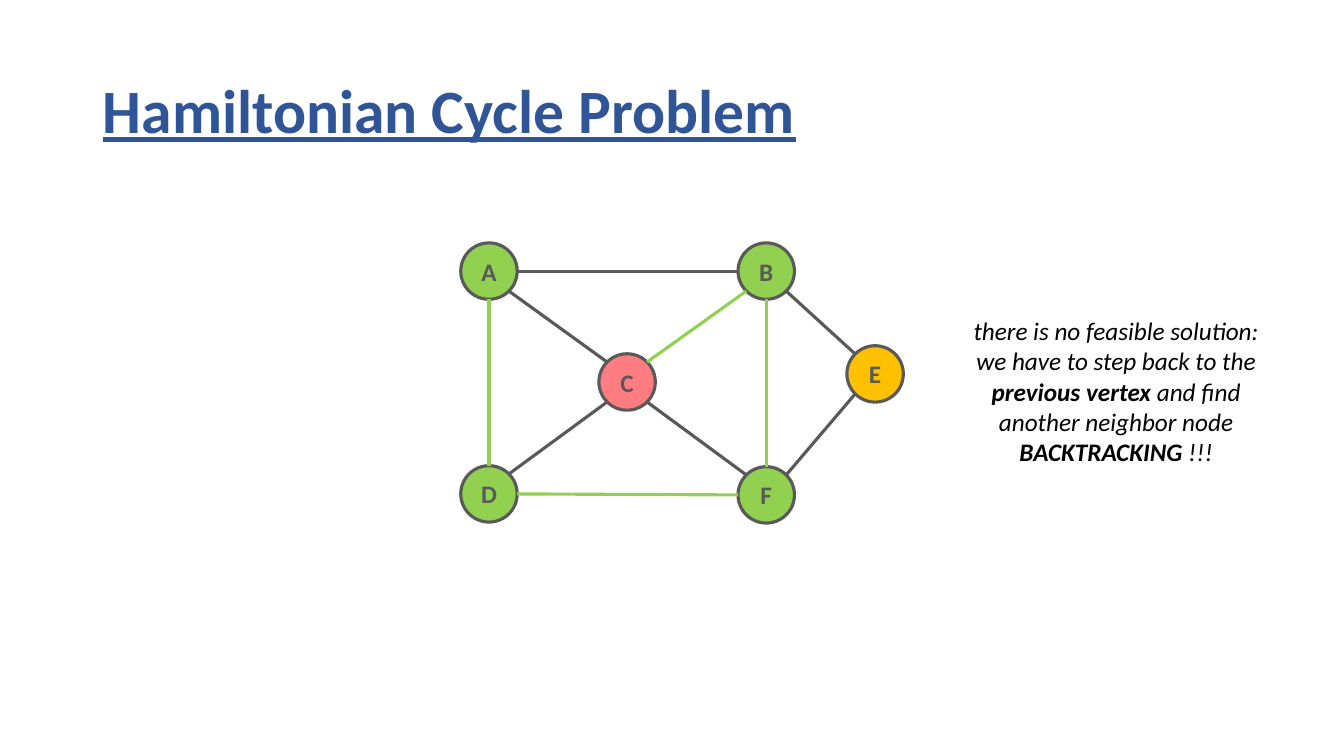
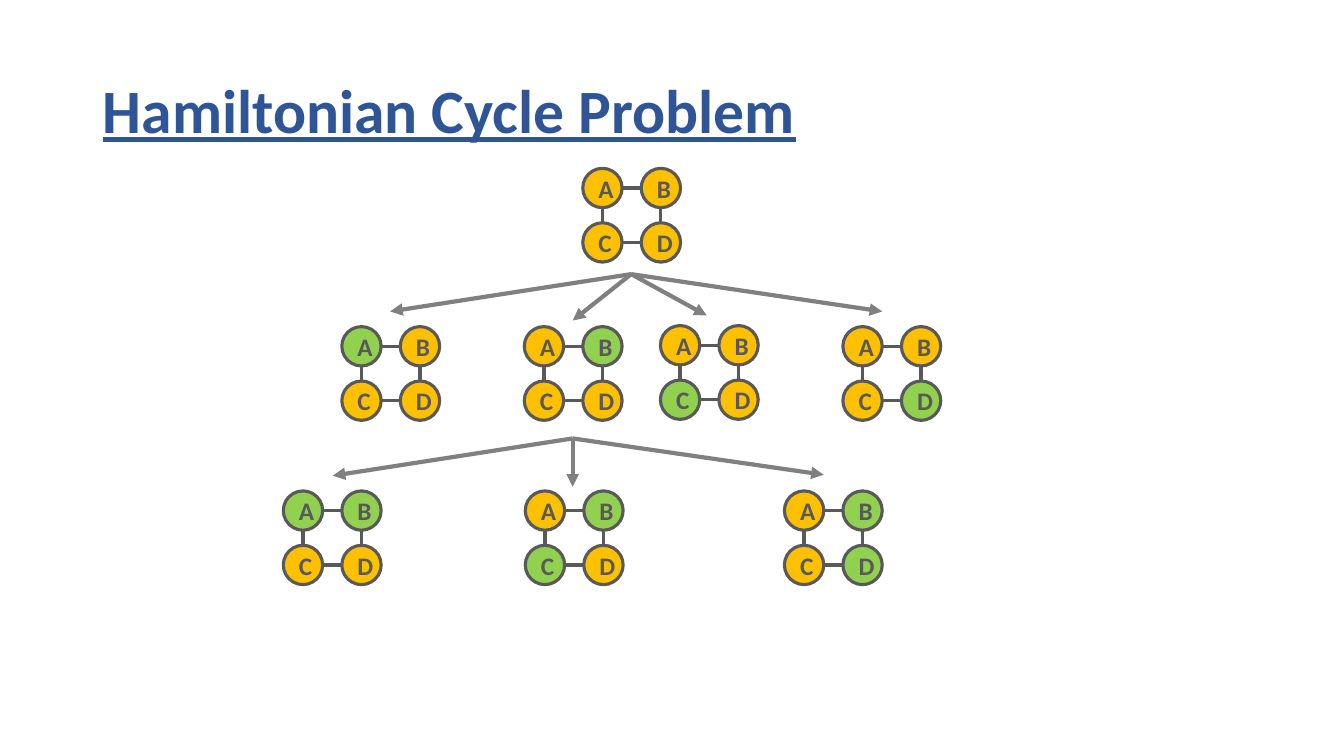
"""Build two slides on the Hamiltonian cycle problem."""
import math
from dataclasses import dataclass
from typing import Any, NamedTuple

from lxml import etree
from pptx import Presentation
from pptx import util as u
from pptx.dml.color import RGBColor
from pptx.enum import shapes, text
from pptx.oxml.ns import qn


@dataclass(frozen=True)
class Theme:
    """Colours, type sizes and line widths shared by the slides."""
    font: str = "Calibri"
    title_color: str = "2F5597"
    text_color: str = "000000"
    outline: str = "595959"
    arrow: str = "808080"
    chosen: str = "92D050"
    open: str = "FFC000"
    dead_end: str = "FF7C80"
    title_size: float = 44
    body_size: float = 18
    outline_width: float = 2.25
    arrow_width: float = 3


class Point(NamedTuple):
    """A place on the slide in inches."""
    x: float
    y: float


@dataclass(frozen=True)
class Node:
    """A labelled circle of a graph."""
    label: str
    center: Point
    fill: str
    diameter: float


@dataclass(frozen=True)
class Edge:
    """A line between two labelled nodes."""
    start: str
    end: str
    color: str


@dataclass(frozen=True)
class State:
    """A small four-node graph with its chosen vertices."""
    left: float
    top: float
    chosen: str


@dataclass(frozen=True)
class Branch:
    """Arrows that fan out from one point."""
    origin: Point
    tips: tuple[Point, ...]


THEME = Theme()
TITLE = "Hamiltonian Cycle Problem"
LARGE, SMALL = 0.56, 0.39
COLUMN_STEP, ROW_STEP = 0.58, 0.54

GRAPH_NODES = [
    Node("A", Point(4.85, 2.69), THEME.chosen, LARGE),
    Node("B", Point(7.6, 2.69), THEME.chosen, LARGE),
    Node("D", Point(4.85, 4.9), THEME.chosen, LARGE),
    Node("F", Point(7.6, 4.91), THEME.chosen, LARGE),
    Node("C", Point(6.22, 3.79), THEME.dead_end, LARGE),
    Node("E", Point(8.68, 3.71), THEME.open, LARGE),
]
GRAPH_EDGES = [Edge(*pair, THEME.chosen) for pair in ("AD", "FD", "FB", "CB")]
GRAPH_EDGES += [Edge(*pair, THEME.outline) for pair in ("AB", "AC", "CF", "DC", "EB", "EF")]
STATE_EDGES = [Edge(*pair, THEME.outline) for pair in ("AB", "AC", "DC", "DB")]

NOTE = [
    [("there is no feasible solution:", False)],
    [(" we have to step back to the ", False)],
    [("previous vertex ", True), ("and find", False)],
    [("another neighbor node", False)],
    [("BACKTRACKING", True), (" !!!", False)],
]

STATES = [
    State(5.78, 1.67, ""),
    State(3.39, 3.24, "A"),
    State(5.2, 3.24, "B"),
    State(6.55, 3.23, "C"),
    State(8.36, 3.24, "D"),
    State(2.81, 4.87, "AB"),
    State(5.21, 4.87, "BC"),
    State(7.78, 4.87, "BD"),
]
BRANCHES = [
    Branch(Point(6.26, 2.72),
           (Point(3.87, 3.09), Point(5.68, 3.18), Point(7.01, 3.13), Point(8.75, 3.09))),
    Branch(Point(5.68, 4.35), (Point(3.3, 4.72), Point(5.68, 4.83), Point(8.17, 4.71))),
]


def apply_format(target: Any, values: dict[str, Any]) -> None:
    """Set each named attribute on the target."""
    for name, value in values.items():
        setattr(target, name, value)


def add_run(paragraph: Any, words: str, size: float, color: str, **style: bool) -> None:
    """Append a formatted run to a paragraph."""
    run = paragraph.add_run()
    run.text = words
    apply_format(run.font, {"name": THEME.font, "size": u.Pt(size), **style})
    run.font.color.rgb = RGBColor.from_string(color)


def add_titled_slide(presentation: Any) -> Any:
    """Add a title-only slide carrying the shared title."""
    slide = presentation.slides.add_slide(presentation.slide_layouts[5])
    title = slide.shapes.title
    apply_format(title, {"left": u.Inches(0.92), "top": u.Inches(0.4),
                         "width": u.Inches(11.5), "height": u.Inches(1.45)})
    apply_format(title.text_frame, {"vertical_anchor": text.MSO_ANCHOR.MIDDLE,
                                    "auto_size": text.MSO_AUTO_SIZE.NONE})
    paragraph = title.text_frame.paragraphs[0]
    apply_format(paragraph, {"alignment": text.PP_ALIGN.LEFT, "line_spacing": 0.9})
    add_run(paragraph, TITLE, THEME.title_size, THEME.title_color, bold=True, underline=True)
    return slide


def draw_node(slide: Any, node: Node) -> None:
    """Draw one labelled circle."""
    radius = node.diameter / 2
    shape = slide.shapes.add_shape(
        shapes.MSO_SHAPE.OVAL, u.Inches(node.center.x - radius),
        u.Inches(node.center.y - radius), u.Inches(node.diameter), u.Inches(node.diameter))
    shape.shadow.inherit = False
    shape.fill.solid()
    shape.fill.fore_color.rgb = RGBColor.from_string(node.fill)
    shape.line.color.rgb = RGBColor.from_string(THEME.outline)
    shape.line.width = u.Pt(THEME.outline_width)
    paragraph = shape.text_frame.paragraphs[0]
    paragraph.alignment = text.PP_ALIGN.CENTER
    add_run(paragraph, node.label, THEME.body_size, THEME.outline, bold=True)


def draw_line(slide: Any, start: Point, end: Point, color: str, width: float) -> Any:
    """Draw a straight line without a shadow and return it."""
    connector = slide.shapes.add_connector(
        shapes.MSO_CONNECTOR.STRAIGHT, u.Inches(start.x), u.Inches(start.y),
        u.Inches(end.x), u.Inches(end.y))
    connector.line.color.rgb = RGBColor.from_string(color)
    connector.line.width = u.Pt(width)
    etree.SubElement(connector._element.spPr, qn("a:effectLst"))
    return connector


def rim_point(node: Node, toward: Node) -> Point:
    """Return the circle's nearest eighth-turn point facing another node."""
    eighth = math.pi / 4
    angle = math.atan2(toward.center.y - node.center.y, toward.center.x - node.center.x)
    angle = round(angle / eighth) * eighth
    radius = node.diameter / 2
    return Point(node.center.x + radius * math.cos(angle),
                 node.center.y + radius * math.sin(angle))


def draw_graph(slide: Any, nodes: list[Node], edges: list[Edge]) -> None:
    """Draw the nodes and the edges joining their rims."""
    by_label = {node.label: node for node in nodes}
    for node in nodes:
        draw_node(slide, node)
    for edge in edges:
        start, end = by_label[edge.start], by_label[edge.end]
        draw_line(slide, rim_point(start, end), rim_point(end, start),
                  edge.color, THEME.outline_width)


def draw_state(slide: Any, state: State) -> None:
    """Draw a two-by-two graph with its chosen vertices filled."""
    nodes = []
    for index, label in enumerate("ABCD"):
        row, column = divmod(index, 2)
        center = Point(state.left + SMALL / 2 + column * COLUMN_STEP,
                       state.top + SMALL / 2 + row * ROW_STEP)
        fill = THEME.chosen if label in state.chosen else THEME.open
        nodes.append(Node(label, center, fill, SMALL))
    draw_graph(slide, nodes, STATE_EDGES)


def draw_branch(slide: Any, branch: Branch) -> None:
    """Draw arrows from the origin to every tip."""
    for tip in branch.tips:
        arrow = draw_line(slide, branch.origin, tip, THEME.arrow, THEME.arrow_width)
        etree.SubElement(arrow.line._get_or_add_ln(), qn("a:tailEnd"), type="triangle")


def draw_note(slide: Any) -> None:
    """Write the centred backtracking note."""
    box = slide.shapes.add_textbox(u.Inches(9.51), u.Inches(3.08), u.Inches(3.12), u.Inches(1.62))
    apply_format(box.text_frame, {"word_wrap": False,
                                  "auto_size": text.MSO_AUTO_SIZE.SHAPE_TO_FIT_TEXT})
    for index, line in enumerate(NOTE):
        paragraph = box.text_frame.add_paragraph() if index else box.text_frame.paragraphs[0]
        paragraph.alignment = text.PP_ALIGN.CENTER
        for words, bold in line:
            add_run(paragraph, words, THEME.body_size, THEME.text_color, bold=bold, italic=True)


def build_dead_end_slide(presentation: Any) -> None:
    """Build the slide where the path has to step back."""
    slide = add_titled_slide(presentation)
    draw_graph(slide, GRAPH_NODES, GRAPH_EDGES)
    draw_note(slide)


def build_search_tree_slide(presentation: Any) -> None:
    """Build the slide with the tree of partial paths."""
    slide = add_titled_slide(presentation)
    for state in STATES:
        draw_state(slide, state)
    for branch in BRANCHES:
        draw_branch(slide, branch)


def main() -> None:
    """Build and save the presentation."""
    presentation = Presentation()
    apply_format(presentation, {"slide_width": u.Inches(13.33), "slide_height": u.Inches(7.5)})
    build_dead_end_slide(presentation)
    build_search_tree_slide(presentation)
    presentation.save("out.pptx")


main()
